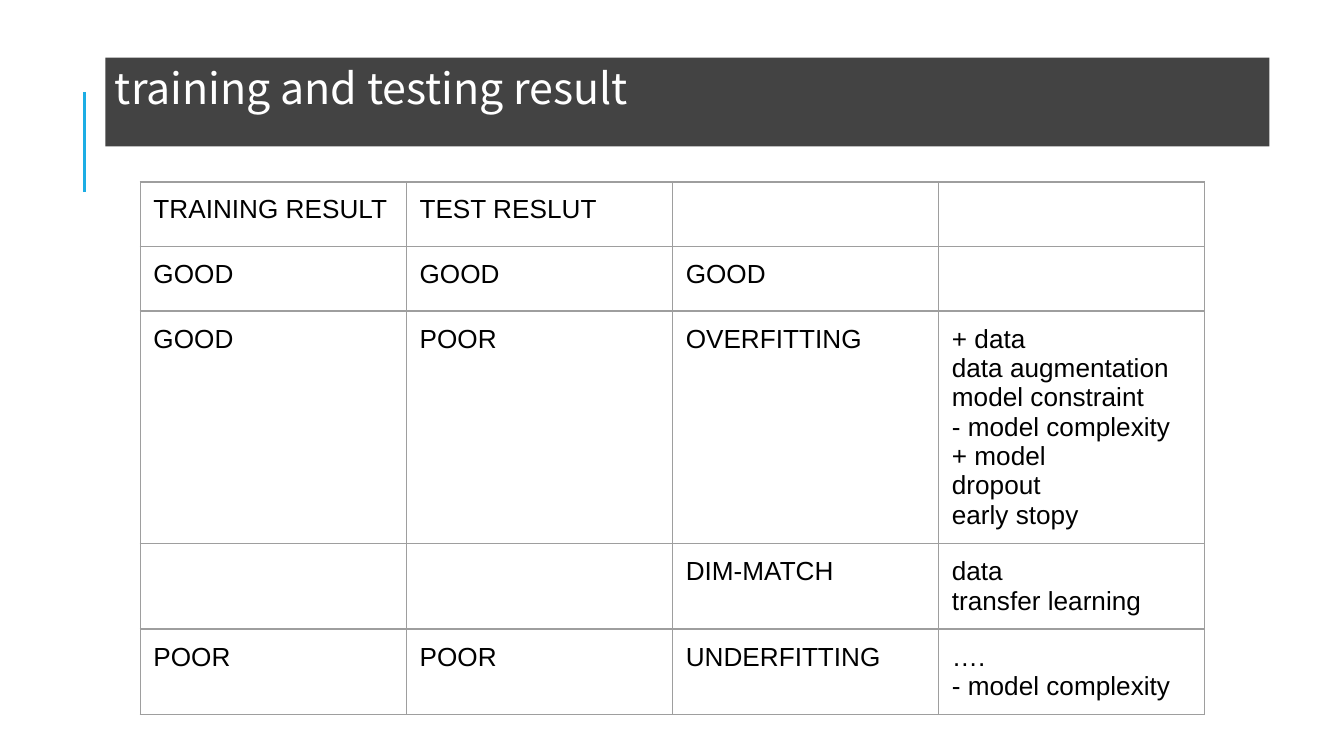
"""Build a slide that compares training and test results in a table."""
from lxml.etree import SubElement
from pptx import Presentation
from pptx.dml.color import RGBColor
from pptx.enum.shapes import MSO_CONNECTOR as Connector
from pptx.enum.text import MSO_ANCHOR as Anchor, MSO_AUTO_SIZE as AutoSize, PP_ALIGN as Align
from pptx.oxml.ns import qn
from pptx.util import Cm, Pt


def paint(color, hex_value):
    color.rgb = RGBColor.from_string(hex_value)


def add_border(cell, hex_value, width):
    properties = cell._tc.get_or_add_tcPr()
    for side in ("lnL", "lnR", "lnT", "lnB"):
        edge = SubElement(properties, qn(f"a:{side}"), w=str(width))
        fill = SubElement(edge, qn("a:solidFill"))
        SubElement(fill, qn("a:srgbClr"), val=hex_value)


deck = Presentation()
deck.slide_width, deck.slide_height = Cm(25.4), Cm(14.29)
slide = deck.slides.add_slide(deck.slide_layouts[5])

accent = slide.shapes.add_connector(Connector.STRAIGHT, Cm(1.59), Cm(3.63), Cm(1.59), Cm(1.73))
paint(accent.line.color, "1CADE4")
accent.line.width = Pt(1.5)
SubElement(accent._element.spPr, qn("a:effectLst"))

heading = slide.shapes.title
heading.left, heading.top, heading.width, heading.height = Cm(1.99), Cm(1.09), Cm(22), Cm(1.68)
heading.fill.solid()
paint(heading.fill.fore_color, "434343")
frame = heading.text_frame
frame.text = "training and testing result"
frame.word_wrap = True
frame.auto_size = AutoSize.NONE
frame.vertical_anchor = Anchor.TOP
frame.margin_left = frame.margin_right = frame.margin_top = frame.margin_bottom = Cm(0.18)
headline = frame.paragraphs[0]
headline.alignment = Align.LEFT
headline.line_spacing = 0.9
headline.font.name = "Noto Sans CJK TC"
headline.font.size = Pt(23)
paint(headline.font.color, "FFFFFF")

remedies = "\n".join([
    "+ data", "data augmentation", "model constraint", "- model complexity",
    "+ model", "dropout", "early stopy",
])
results = [
    (1.22, ["TRAINING RESULT", "TEST RESLUT", "", ""]),
    (1.22, ["GOOD", "GOOD", "GOOD", ""]),
    (4.4, ["GOOD", "POOR", "OVERFITTING", remedies]),
    (1.61, ["", "", "DIM-MATCH", "data\ntransfer learning"]),
    (1.61, ["POOR", "POOR", "UNDERFITTING", "….\n- model complexity"]),
]
total_height = sum(height for height, _ in results)
comparison = slide.shapes.add_table(
    len(results), 4, Cm(2.65), Cm(3.44), Cm(20.12), Cm(total_height)).table
comparison.first_row = comparison.horz_banding = False

for row, (height, entries) in zip(comparison.rows, results):
    row.height = Cm(height)
    for cell, entry in zip(row.cells, entries):
        cell.text = entry
        cell.margin_left = cell.margin_right = cell.margin_top = cell.margin_bottom = Cm(0.25)
        add_border(cell, "9E9E9E", Pt(0.75))
        cell.fill.background()
        for paragraph in cell.text_frame.paragraphs:
            paragraph.font.name = "Arial"
            paragraph.font.size = Pt(14)
            paint(paragraph.font.color, "000000")

deck.save("out.pptx")
